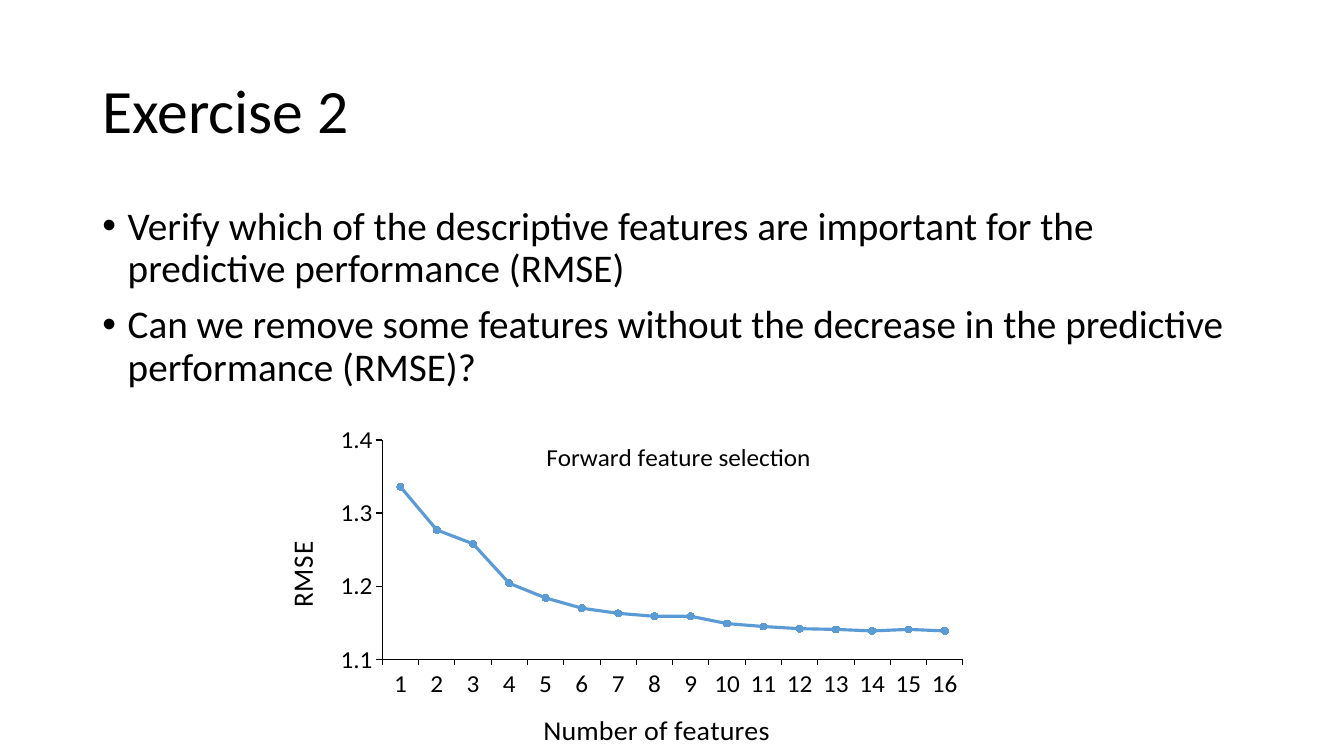
from lxml import etree
from pptx import Presentation
from pptx.chart.data import CategoryChartData
from pptx.dml.color import RGBColor
from pptx.enum.chart import XL_CHART_TYPE as ChartType, XL_MARKER_STYLE as Marker, XL_TICK_MARK as Tick
from pptx.enum.text import MSO_ANCHOR as Anchor
from pptx.oxml.ns import qn
from pptx.util import Cm, Pt

BLACK = RGBColor(0x00, 0x00, 0x00)
BLUE = RGBColor(0x5B, 0x9B, 0xD5)
FONT = "Calibri"


def write(paragraph, text, size):
    run = paragraph.add_run()
    run.text = text
    run.font.name = FONT
    run.font.size = Pt(size)
    run.font.bold = False
    run.font.color.rgb = BLACK


def place(element, index, **settings):
    for old in element.findall(qn("c:layout")):
        element.remove(old)
    layout = etree.Element(qn("c:layout"))
    manual = etree.SubElement(layout, qn("c:manualLayout"))
    for name, value in settings.items():
        etree.SubElement(manual, qn(f"c:{name}")).set("val", str(value))
    element.insert(index, layout)


deck = Presentation()
deck.slide_width, deck.slide_height = Cm(33.87), Cm(19.05)
slide = deck.slides.add_slide(deck.slide_layouts[6])

heading = slide.shapes.add_textbox(Cm(2.33), Cm(1.01), Cm(29.21), Cm(3.68)).text_frame
heading.word_wrap = True
heading.vertical_anchor = Anchor.MIDDLE
heading.paragraphs[0].line_spacing = 0.9
write(heading.paragraphs[0], "Exercise 2", 44)

tasks = slide.shapes.add_textbox(Cm(2.33), Cm(5.07), Cm(29.21), Cm(12.09)).text_frame
tasks.word_wrap = True
questions = [
    "Verify which of the descriptive features are important for the predictive performance (RMSE)",
    "Can we remove some features without the decrease in the predictive performance (RMSE)?",
]
for number, question in enumerate(questions):
    task = tasks.add_paragraph() if number else tasks.paragraphs[0]
    task.line_spacing = 0.9
    task.space_before = Pt(10)
    write(task, question, 28)
    properties = task._p.get_or_add_pPr()
    properties.set("marL", str(Cm(0.64)))
    properties.set("indent", str(-Cm(0.64)))
    etree.SubElement(properties, qn("a:buFont")).set("typeface", "Arial")
    etree.SubElement(properties, qn("a:buChar")).set("char", "•")

errors = [1.336, 1.277, 1.258, 1.204, 1.184, 1.17, 1.163, 1.159,
          1.159, 1.149, 1.145, 1.142, 1.141, 1.139, 1.141, 1.139]
selection = CategoryChartData(number_format="General")
selection.categories = [str(count) for count in range(1, len(errors) + 1)]
selection.add_series("Series 1", errors)
chart = slide.shapes.add_chart(
    ChartType.LINE_MARKERS, Cm(6.63), Cm(10.57), Cm(17.78), Cm(8.48), selection).chart
chart.has_legend = False
chart.font.name = FONT
chart.font.size = Pt(10)
chart.font.color.rgb = BLACK

features, rmse = chart.category_axis, chart.value_axis
for axis, width in ((features, 0.75), (rmse, 1)):
    axis.has_major_gridlines = False
    axis.major_tick_mark = Tick.OUTSIDE
    axis.minor_tick_mark = Tick.NONE
    axis.format.line.color.rgb = BLACK
    axis.format.line.width = Pt(width)
    axis.tick_labels.font.name = FONT
    axis.tick_labels.font.size = Pt(18)
    axis.tick_labels.font.color.rgb = BLACK
rmse.minimum_scale, rmse.maximum_scale, rmse.major_unit = 1.1, 1.4, 0.1
rmse.tick_labels.number_format = "0.0"
rmse.tick_labels.number_format_is_linked = False

captions = [
    (chart.chart_title, "Forward feature selection", 18, 0.395, 0.05),
    (features.axis_title, "Number of features", 20, 0.39, 0.88),
    (rmse.axis_title, "RMSE", 20, 0.02, 0.365),
]
for caption, text, size, left, top in captions:
    write(caption.text_frame.paragraphs[0], text, size)
    place(caption._element, 1, xMode="edge", yMode="edge", x=left, y=top)
chart.chart_title.include_in_layout = True
rmse.axis_title.text_frame._txBody.bodyPr.set("rot", "-5400000")
rmse.axis_title.text_frame._txBody.bodyPr.set("vert", "horz")

plot = chart.plots[0]
plot.vary_by_categories = False
place(chart._chartSpace.chart.plotArea, 0, layoutTarget="inner", xMode="edge",
      yMode="edge", x=0.169, y=0.063, w=0.823, h=0.674)
curve = plot.series[0]
curve.smooth = False
curve.format.line.color.rgb = BLUE
curve.format.line.width = Pt(2.25)
curve.marker.style = Marker.CIRCLE
curve.marker.size = 5
curve.marker.format.fill.solid()
curve.marker.format.fill.fore_color.rgb = BLUE
curve.marker.format.line.color.rgb = BLUE

deck.save("out.pptx")
